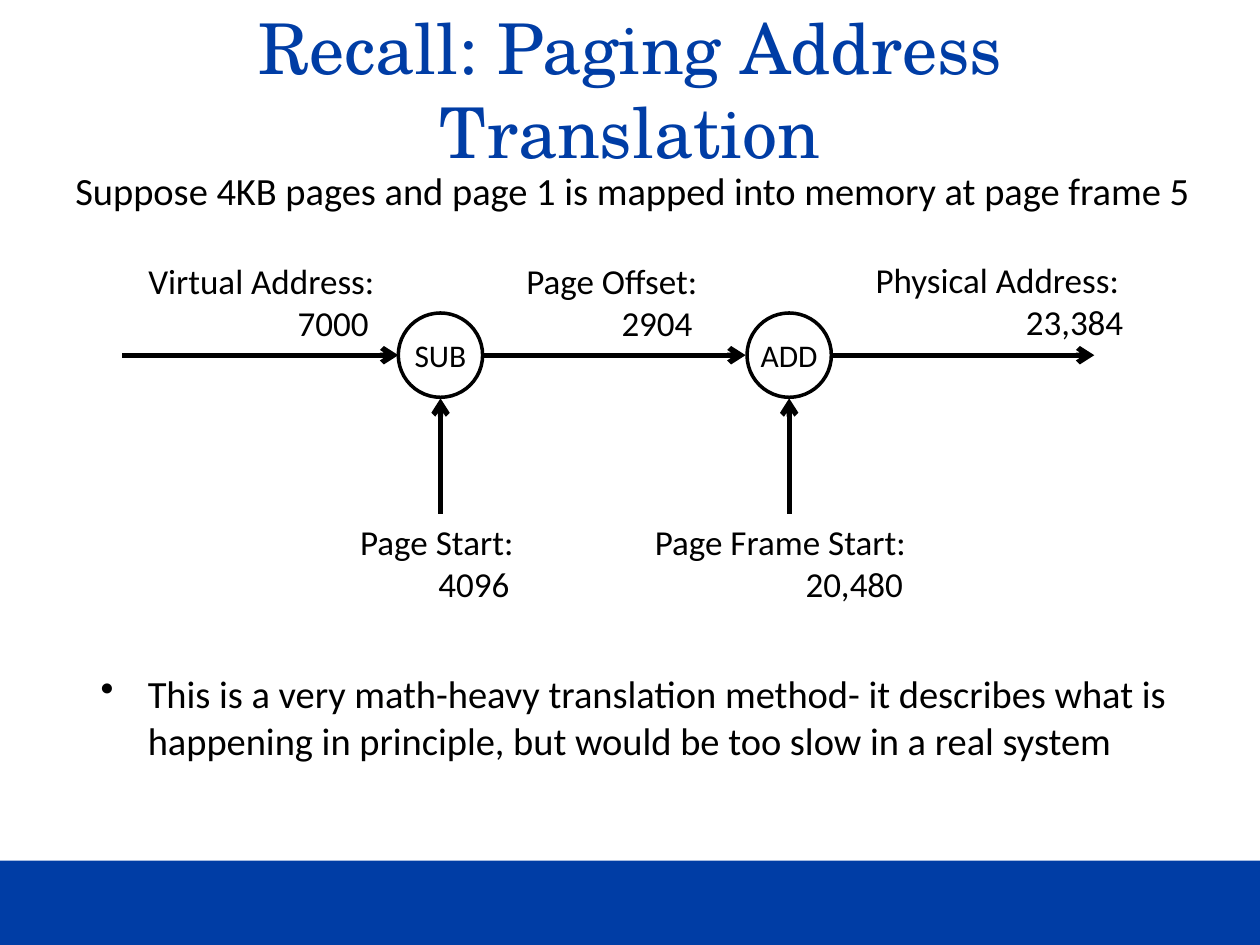
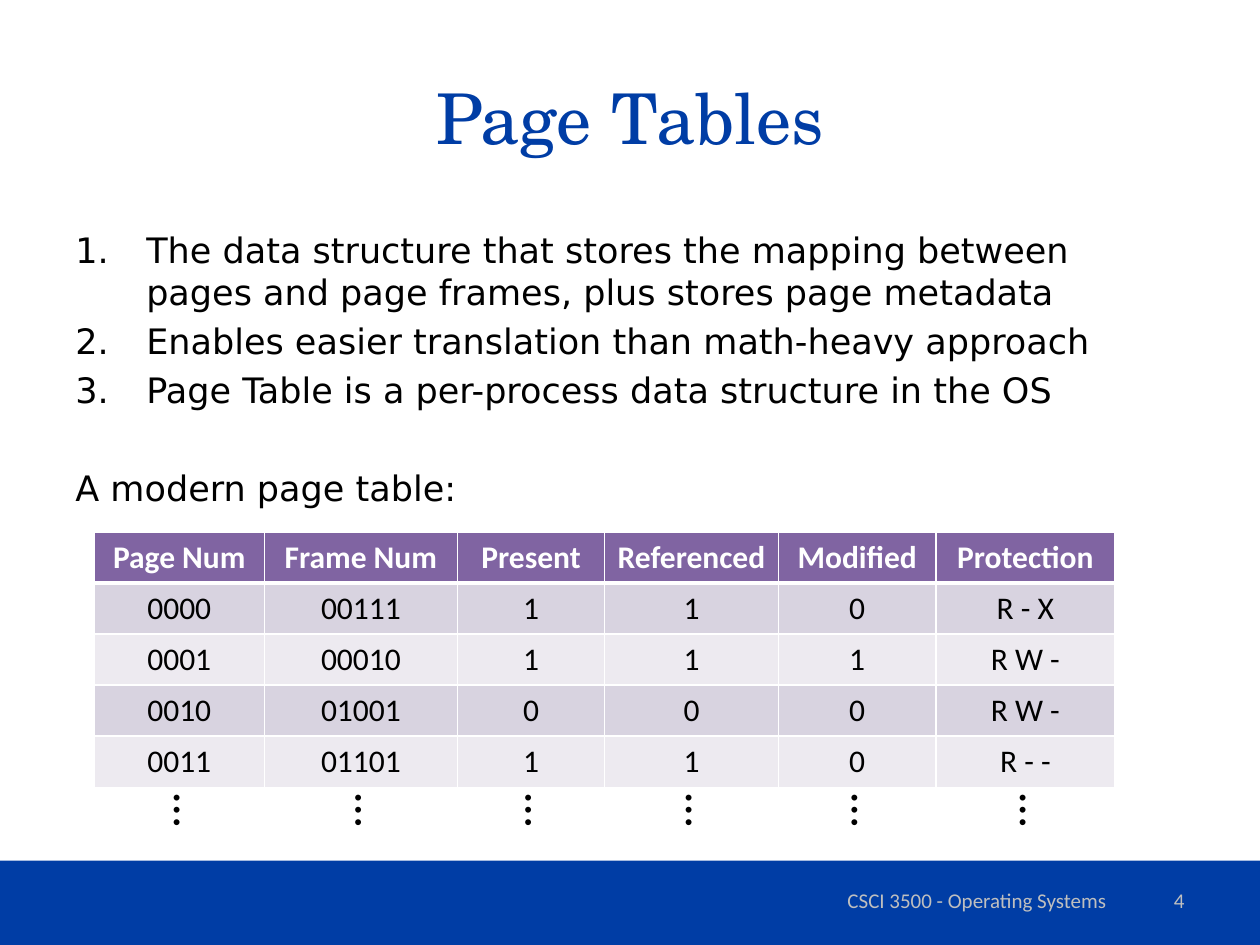
from lxml import etree
from pptx import Presentation
from pptx.dml.color import RGBColor
from pptx.enum import shapes, text
from pptx.oxml import ns
from pptx.util import Cm, Pt

BLUE = RGBColor(0x00, 0x3D, 0xA5)
BLACK = RGBColor(0x00, 0x00, 0x00)
WHITE = RGBColor(0xFF, 0xFF, 0xFF)
GREY = RGBColor(0xBF, 0xBF, 0xBF)
PURPLE = RGBColor(0x80, 0x64, 0xA2)
LILAC = RGBColor(0xD8, 0xD3, 0xE0)
PALE = RGBColor(0xED, 0xEA, 0xF0)

TITLE_FONT, BODY_FONT, LIST_FONT = "TeX Gyre Schola", "Calibri", "DejaVu Sans"
WIDTH, HEIGHT, BAND_HEIGHT = 25.4, 19.05, 1.7
LEFT, RIGHT, CENTER = text.PP_ALIGN.LEFT, text.PP_ALIGN.RIGHT, text.PP_ALIGN.CENTER
MIDDLE = text.MSO_ANCHOR.MIDDLE


def add_run(p, words, size, color=BLACK, font=BODY_FONT, bold=False):
    r = p.add_run()
    r.text = words
    r.font.size, r.font.name, r.font.bold = Pt(size), font, bold
    r.font.color.rgb = color


def add_box(s, left, top, width, height):
    sp = s.shapes.add_textbox(Cm(left), Cm(top), Cm(width), Cm(height))
    sp.text_frame.word_wrap = True
    return sp


def add_line(s, words, box, size, color=BLACK, align=LEFT):
    """Add a text box that holds a single paragraph."""
    sp = add_box(s, *box)
    p = sp.text_frame.paragraphs[0]
    p.alignment = align
    add_run(p, words, size, color)
    return sp


def indent(p, margin, hanging=0, bullet=None, **attributes):
    """Indent a paragraph (cm), with an optional bullet element."""
    pPr = p._p.get_or_add_pPr()
    pPr.set("marL", str(Cm(margin)))
    pPr.set("indent", str(-Cm(hanging)))
    if bullet:
        etree.SubElement(pPr, ns.qn(bullet), attributes)


def add_slide(prs, title, title_top):
    """Add a slide with the blue bottom band and a formatted title."""
    s = prs.slides.add_slide(prs.slide_layouts[5])
    band = s.shapes.add_shape(shapes.MSO_SHAPE.RECTANGLE, 0, Cm(HEIGHT - BAND_HEIGHT),
                              Cm(WIDTH), Cm(BAND_HEIGHT))
    band.shadow.inherit = False
    band.fill.solid()
    band.fill.fore_color.rgb = BLUE
    band.line.fill.background()
    sp = s.shapes.title
    sp.left, sp.top, sp.width, sp.height = Cm(1.27), Cm(title_top), Cm(22.86), Cm(3.18)
    tf = sp.text_frame
    tf.vertical_anchor = MIDDLE
    tf.paragraphs[0].alignment = CENTER
    add_run(tf.paragraphs[0], title, 40, BLUE, TITLE_FONT)
    return s


def add_footer(s, course, number):
    for words, box, align in [(course, (15.67, 17.65, 8.05, 1.01), CENTER),
                              (number, (18.21, 17.65, 5.92, 1.01), RIGHT)]:
        sp = add_line(s, words, box, 12, GREY, align)
        sp.text_frame.vertical_anchor = MIDDLE


def add_arrow(s, x1, y1, x2, y2):
    cx = s.shapes.add_connector(shapes.MSO_CONNECTOR.STRAIGHT, Cm(x1), Cm(y1), Cm(x2), Cm(y2))
    cx.line.color.rgb = BLACK
    cx.line.width = Pt(3)
    etree.SubElement(cx.line._get_or_add_ln(), ns.qn("a:tailEnd"), type="arrow")
    etree.SubElement(cx._element.spPr, ns.qn("a:effectLst"))


def add_operation(s, name, left, top, diameter):
    sp = s.shapes.add_shape(shapes.MSO_SHAPE.OVAL, Cm(left), Cm(top), Cm(diameter), Cm(diameter))
    sp.shadow.inherit = False
    sp.fill.background()
    sp.line.color.rgb = BLACK
    sp.line.width = Pt(2)
    tf = sp.text_frame
    tf.margin_left = tf.margin_right = tf.margin_top = tf.margin_bottom = 0
    tf.word_wrap = False
    tf.vertical_anchor = MIDDLE
    tf.paragraphs[0].alignment = CENTER
    add_run(tf.paragraphs[0], name, 18)


def add_value_label(s, name, value, left, top, width, value_indent):
    """Add a label with its value indented on the line below."""
    tf = add_box(s, left, top, width, 1.96).text_frame
    add_run(tf.paragraphs[0], name, 20)
    p = tf.add_paragraph()
    indent(p, value_indent)
    add_run(p, value, 20)


def add_translation_diagram(s, left, top):
    flow_y, diameter, arrow = 2.08, 1.7, 5.3
    circles = [("SUB", 5.57), ("ADD", 12.6)]
    for name, x in circles:
        add_operation(s, name, left + x, top + flow_y - diameter / 2, diameter)
        center = left + x + diameter / 2
        add_arrow(s, center, top + 5.28, center, top + flow_y + diameter / 2 + 0.02)
        start = left + x + diameter
        add_arrow(s, start, top + flow_y, start + arrow, top + flow_y)
    add_arrow(s, left, top + flow_y, left + circles[0][1], top + flow_y)

    for name, value, x, y, width, value_indent in [
            ("Virtual Address:", "7000", 0.28, 0.03, 5.4, 3.01),
            ("Page Offset:", "2904", 7.9, 0.03, 4.2, 1.92),
            ("Physical Address:", "23,384", 14.94, 0, 5.8, 3.03),
            ("Page Start:", "4096", 4.55, 5.28, 4, 1.58),
            ("Page Frame Start:", "20,480", 10.49, 5.28, 6, 3.04)]:
        add_value_label(s, name, value, left + x, top + y, width, value_indent)


def add_numbered_points(s, points, closing, box):
    tf = add_box(s, *box).text_frame
    for i, words in enumerate(points):
        p = tf.add_paragraph() if i else tf.paragraphs[0]
        indent(p, 1.43, 1.43, "a:buAutoNum", type="arabicPeriod")
        if i:
            p.space_before = Pt(4)
        add_run(p, words, 20, font=LIST_FONT)
    p = tf.add_paragraph()
    p.space_before = Pt(32)
    add_run(p, closing, 20, font=LIST_FONT)


def add_borders(cell, widths):
    """Draw white borders; widths maps the sides L, R, T, B to points."""
    tcPr = cell._tc.get_or_add_tcPr()
    for side, width in widths.items():
        ln = etree.SubElement(tcPr, ns.qn(f"a:ln{side}"), w=str(Pt(width)))
        fill = etree.SubElement(ln, ns.qn("a:solidFill"))
        etree.SubElement(fill, ns.qn("a:srgbClr"), val=str(WHITE))


def add_page_table(s, rows, widths, left, top, row_height):
    """Add the page table, with an ellipsis below each column."""
    height = row_height * len(rows)
    table = s.shapes.add_table(len(rows), len(widths), Cm(left), Cm(top),
                               Cm(sum(widths)), Cm(height)).table
    for row in table.rows:
        row.height = Cm(row_height)
    for i, values in enumerate(rows):
        header = i == 0
        for j, words in enumerate(values):
            cell = table.cell(i, j)
            add_borders(cell, {"L": 1, "R": 1, "T": 3 if i == 1 else 1, "B": 3 if header else 1})
            cell.fill.solid()
            cell.fill.fore_color.rgb = PURPLE if header else LILAC if i % 2 else PALE
            p = cell.text_frame.paragraphs[0]
            p.alignment = CENTER
            add_run(p, words, 18, WHITE if header else BLACK, bold=header)

    dots_width, dots_height = 1.19, 1.45
    x = left
    for column, width in zip(table.columns, widths):
        column.width = Cm(width)
        dots_left = x + width / 2 - dots_width / 2 + 0.28
        sp = add_line(s, "…", (dots_left, top + height - 0.26, dots_width, dots_height), 28)
        sp.rotation = 90
        x += width


def build_translation_slide(prs):
    s = add_slide(prs, "Recall: Paging Address Translation", 0.2)
    add_line(s, "Suppose 4KB pages and page 1 is mapped into memory at page frame 5",
             (1.27, 3.25, 23.4, 1.19), 22)
    add_translation_diagram(s, 2.46, 5.08)
    sp = add_box(s, 1.78, 13.39, 22.23, 2.13)
    p = sp.text_frame.paragraphs[0]
    indent(p, 0.95, 0.95, "a:buChar", char="•")
    add_run(p, "This is a very math-heavy translation method- it describes what is "
               "happening in principle, but would be too slow in a real system", 22)


def build_page_tables_slide(prs):
    s = add_slide(prs, "Page Tables", 0.76)
    add_numbered_points(s, [
        "The data structure that stores the mapping between pages and page frames, "
        "plus stores page metadata",
        "Enables easier translation than math-heavy approach",
        "Page Table is a per-process data structure in the OS",
    ], "A modern page table:", (1.27, 4.48, 22.86, 6.2))
    add_page_table(s, [
        ("Page Num", "Frame Num", "Present", "Referenced", "Modified", "Protection"),
        ("0000", "00111", "1", "1", "0", "R - X"),
        ("0001", "00010", "1", "1", "1", "R W -"),
        ("0010", "01001", "0", "0", "0", "R W -"),
        ("0011", "01101", "1", "1", "0", "R - -"),
    ], [3.43, 3.89, 2.97, 3.5, 3.18, 3.6], 1.9, 10.72, 1.03)
    add_footer(s, "CSCI 3500 - Operating Systems", "4")


def main():
    prs = Presentation()
    prs.slide_width, prs.slide_height = Cm(WIDTH), Cm(HEIGHT)
    build_translation_slide(prs)
    build_page_tables_slide(prs)
    prs.save("out.pptx")


if __name__ == "__main__":
    main()
